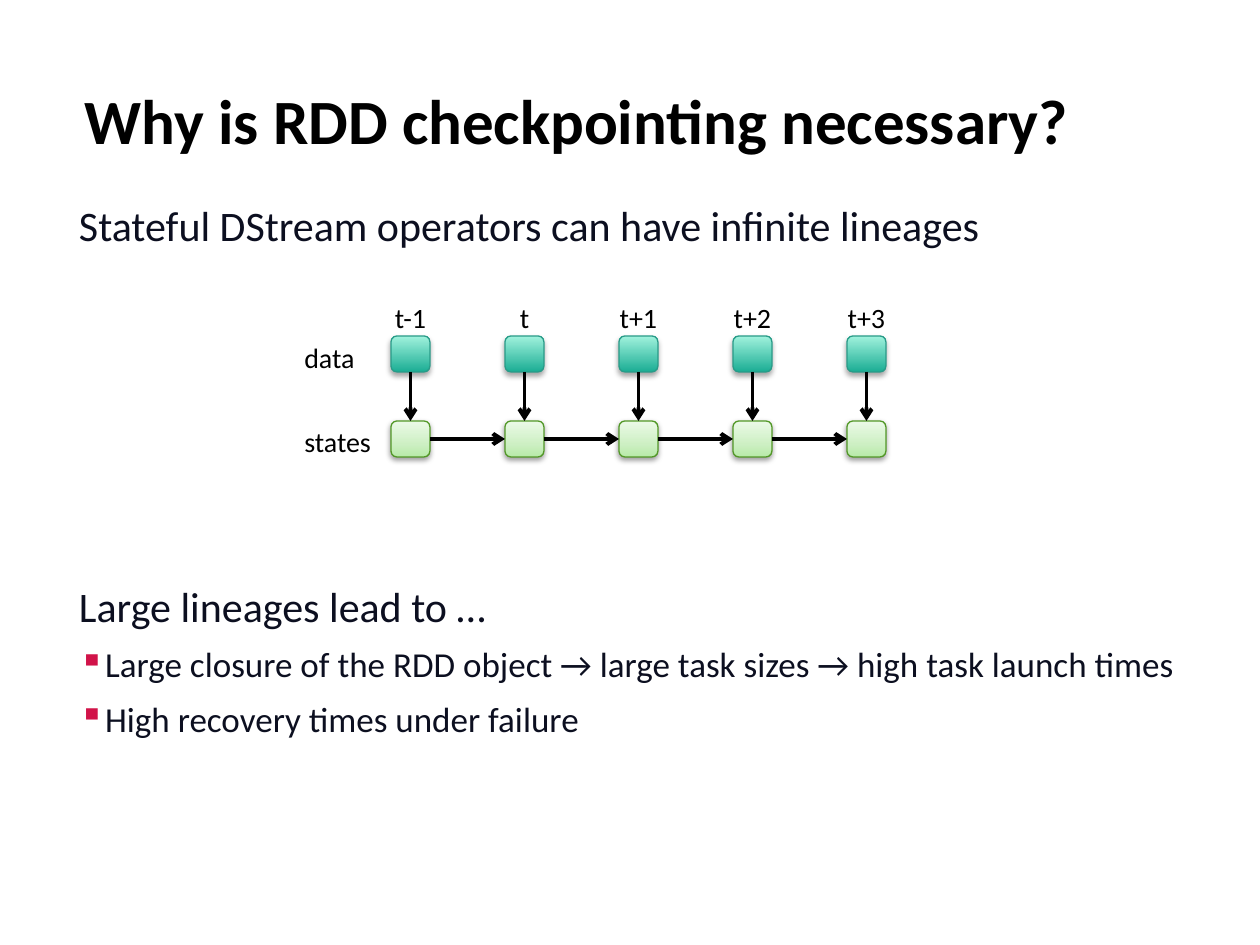
from dataclasses import dataclass

from lxml.etree import SubElement
from pptx import Presentation
from pptx.dml.color import RGBColor
from pptx.enum.shapes import MSO_CONNECTOR, MSO_SHAPE
from pptx.enum.text import MSO_ANCHOR as Anchor, PP_ALIGN as Align
from pptx.oxml.ns import qn
from pptx.util import Emu, Pt

SCALE = 914400 / 126  # EMU in one px
FONT = "Calibri"
COLORS = {
    "black": "000000",
    "body": "0C0F20",
    "bullet": "D11349",
    "data_line": "289B88",
    "state_line": "529827",
}
TOP, LEFT, BOTTOM, RIGHT = range(4)

# Diagram grid
TIMES = ["t-1", "t", "t+1", "t+2", "t+3"]
FIRST_X, STEP = 391, 114
NODE_W, NODE_H = 39, 36
LABEL_W, LABEL_H, LABEL_Y = 53, 47, 294
ROW_LABEL_X = 292


@dataclass
class NodeRow:
    name: str
    y: int
    label_y: int
    label_width: int
    line: str
    stops: list[tuple[int, str]]  # percent, colour
    shadow_alpha: int
    shadow_distance: float


@dataclass
class BodyLine:
    text: str
    size: int
    space_before: int
    bullet: bool = False


ROWS = [
    NodeRow("data", 336, 334, 77, "data_line",
            [(0, "1BAD94"), (100, "A1F2DD")], 35, 1.8),
    NodeRow("states", 421, 418, 94, "state_line",
            [(0, "B7EAA8"), (35, "CDEFC3"), (100, "EBFAE7")], 38, 1.6),
]
BODY = [
    BodyLine("Stateful DStream operators can have infinite lineages", 24, 0),
    BodyLine("Large lineages lead to …", 24, 189),
    BodyLine("Large closure of the RDD object → large task sizes → high task launch times",
             20, 7, True),
    BodyLine("High recovery times under failure", 20, 7, True),
]


def px(value: float) -> Emu:
    return Emu(round(value * SCALE))


def rgb(name: str) -> RGBColor:
    return RGBColor.from_string(COLORS[name])


def style(para, size: int, color: str, bold: bool = False) -> None:
    para.font.name = FONT
    para.font.size = Pt(size)
    para.font.bold = bold
    para.font.color.rgb = rgb(color)


def set_insets(frame, side: float, end: float) -> None:
    frame.margin_left = frame.margin_right = px(side)
    frame.margin_top = frame.margin_bottom = px(end)


def set_indent(para, left: int, first: int = 0) -> None:
    props = para._p.get_or_add_pPr()
    props.set("marL", str(px(left)))
    props.set("indent", str(px(first)))


def add_bullet(para) -> None:
    props = para._p.get_or_add_pPr()
    color = SubElement(props, qn("a:buClr"))
    SubElement(color, qn("a:srgbClr"), val=COLORS["bullet"])
    SubElement(props, qn("a:buChar"), char="▪")


def add_label(page, text: str, x: int, y: int, width: int, centered: bool) -> None:
    box = page.shapes.add_textbox(px(x), px(y), px(width), px(LABEL_H))
    frame = box.text_frame
    frame.word_wrap = centered
    set_insets(frame, 0 if centered else 12.6, 6.3)
    frame.text = text
    para = frame.paragraphs[0]
    para.alignment = Align.CENTER if centered else Align.LEFT
    style(para, 16, "black")


def add_node(page, row: NodeRow, x: int):
    node = page.shapes.add_shape(MSO_SHAPE.FLOWCHART_ALTERNATE_PROCESS,
                                 px(x), px(row.y), px(NODE_W), px(NODE_H))
    node.line.color.rgb = rgb(row.line)
    node.line.width = Pt(0.75)
    node.fill.gradient()
    node.fill.gradient_angle = 90
    stop_list = node._element.spPr.find(".//" + qn("a:gsLst"))
    for old in list(stop_list):
        stop_list.remove(old)
    for percent, color in row.stops:
        stop = SubElement(stop_list, qn("a:gs"), pos=str(percent * 1000))
        SubElement(stop, qn("a:srgbClr"), val=color)

    node.shadow.inherit = False
    effects = node._element.spPr.find(qn("a:effectLst"))
    shadow = SubElement(effects, qn("a:outerShdw"), blurRad=str(Pt(3.1)),
                        dist=str(Pt(row.shadow_distance)), dir="5400000", rotWithShape="0")
    shade = SubElement(shadow, qn("a:srgbClr"), val=COLORS["black"])
    SubElement(shade, qn("a:alpha"), val=str(row.shadow_alpha * 1000))
    return node


def add_arrow(page, start, start_side: int, end, end_side: int) -> None:
    arrow = page.shapes.add_connector(MSO_CONNECTOR.STRAIGHT, 0, 0, 0, 0)
    arrow.begin_connect(start, start_side)
    arrow.end_connect(end, end_side)
    arrow.line.color.rgb = rgb("black")
    arrow.line.width = Pt(2.25)
    SubElement(arrow.line._get_or_add_ln(), qn("a:tailEnd"), type="arrow")
    SubElement(arrow._element.spPr, qn("a:effectLst"))


def add_title(page) -> None:
    title = page.shapes.title
    title.left, title.top, title.width, title.height = px(63), px(64), px(1144), px(110)
    frame = title.text_frame
    frame.vertical_anchor = Anchor.MIDDLE
    set_insets(frame, 2.5, 2.5)
    frame.text = "Why is RDD checkpointing necessary?"
    para = frame.paragraphs[0]
    para.alignment = Align.LEFT
    set_indent(para, 19)
    style(para, 36, "black", bold=True)


def add_body(page) -> None:
    box = page.shapes.add_textbox(px(60), px(199), px(1144), px(672))
    frame = box.text_frame
    frame.word_wrap = True
    set_insets(frame, 0, 0)
    frame.text = "\n".join(line.text for line in BODY)
    for para, line in zip(frame.paragraphs, BODY):
        para.space_before = Pt(line.space_before)
        if line.bullet:
            set_indent(para, 45, -26)
            add_bullet(para)
        else:
            set_indent(para, 19)
        style(para, line.size, "body")


def add_lineage(page) -> None:
    columns = [FIRST_X + STEP * i for i in range(len(TIMES))]
    for text, x in zip(TIMES, columns):
        add_label(page, text, x - (LABEL_W - NODE_W) // 2, LABEL_Y, LABEL_W, True)
    for row in ROWS:
        add_label(page, row.name, ROW_LABEL_X, row.label_y, row.label_width, False)
    data, states = ([add_node(page, row, x) for x in columns] for row in ROWS)

    # Data feeds each state, and each state feeds the next
    for source, state in zip(data, states):
        add_arrow(page, source, BOTTOM, state, TOP)
    for state, following in zip(states, states[1:]):
        add_arrow(page, state, RIGHT, following, LEFT)


def main() -> None:
    deck = Presentation()
    deck.slide_width, deck.slide_height = px(1260), px(945)
    page = deck.slides.add_slide(deck.slide_layouts[5])
    add_title(page)
    add_body(page)
    add_lineage(page)
    deck.save("out.pptx")


if __name__ == "__main__":
    main()
